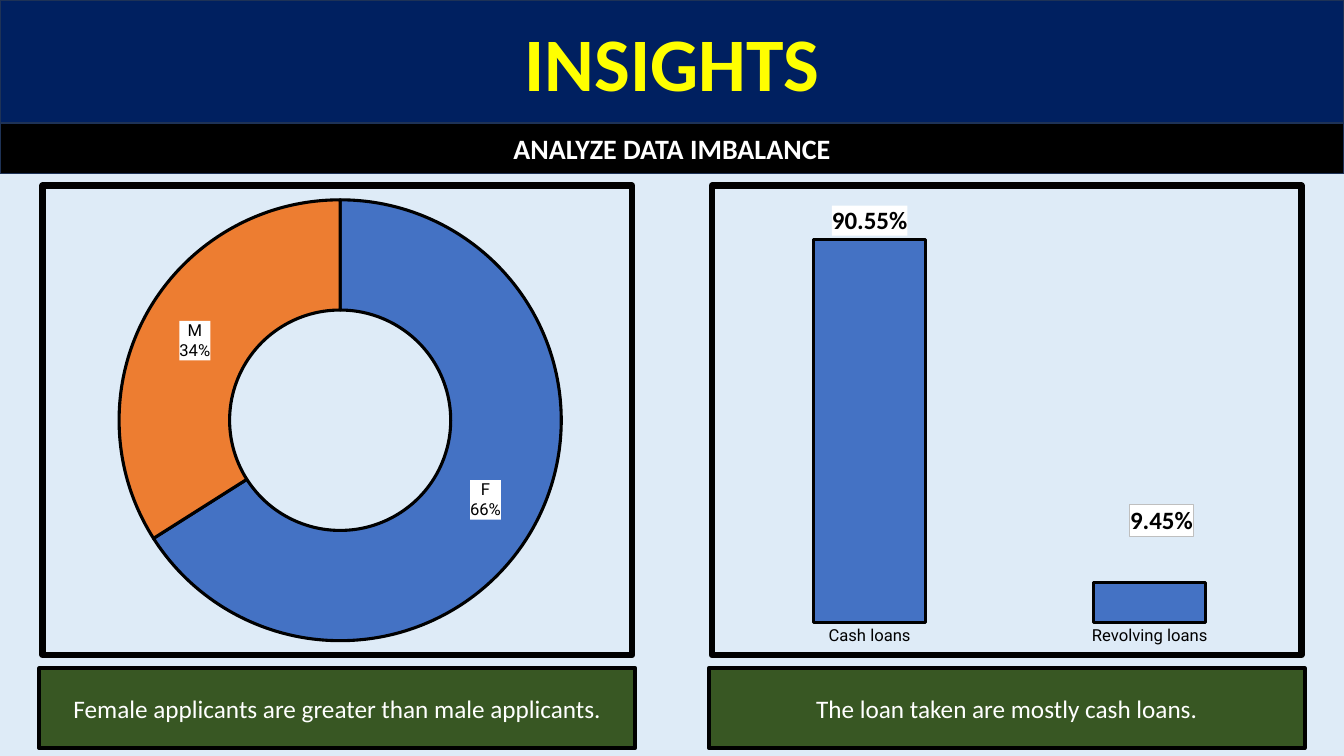
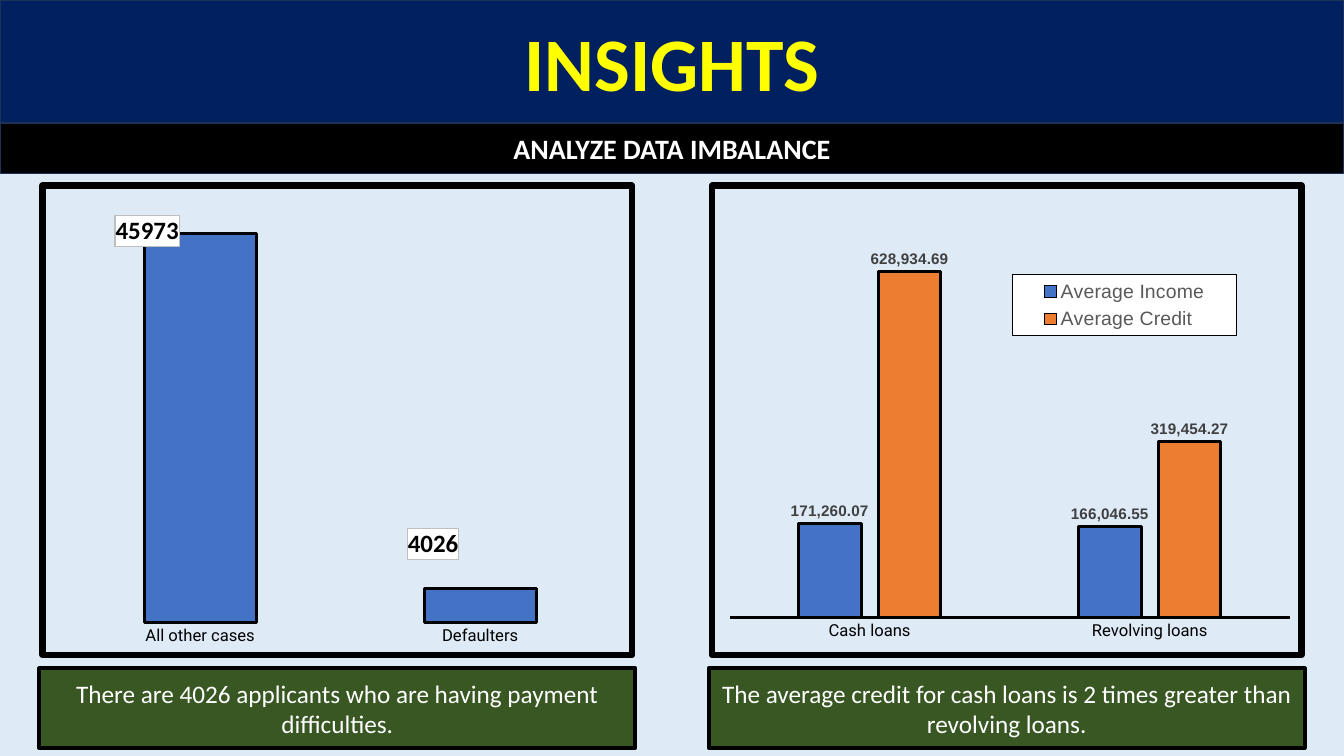
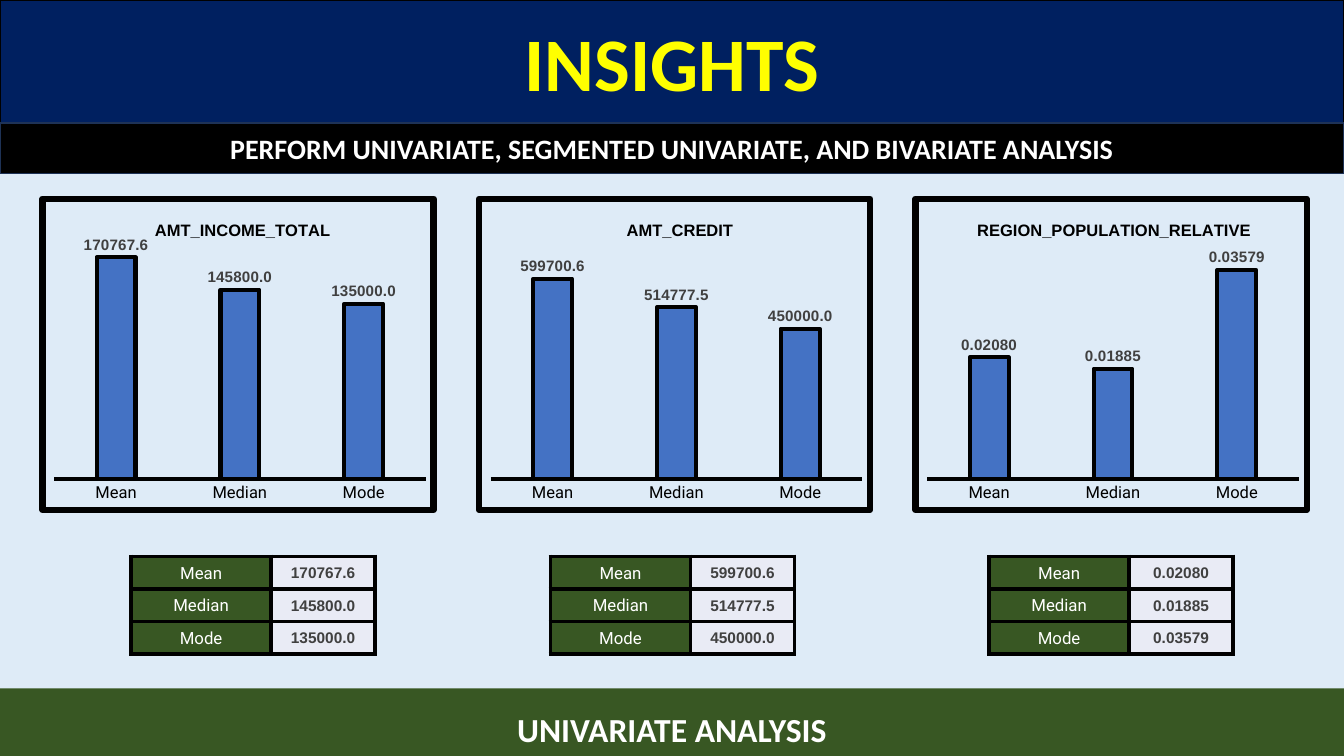
from copy import deepcopy
from dataclasses import dataclass

from pptx import Presentation
from pptx.chart.data import CategoryChartData
from pptx.dml.color import RGBColor
from pptx.enum.chart import XL_CHART_TYPE as Kind, XL_LABEL_POSITION as LabelPlace
from pptx.enum.chart import XL_LEGEND_POSITION as LegendPlace, XL_TICK_MARK as Tick
from pptx.enum.shapes import MSO_SHAPE
from pptx.enum.text import MSO_ANCHOR as Anchor, PP_ALIGN as Align
from pptx.oxml import parse_xml
from pptx.oxml.ns import nsdecls, qn
from pptx.util import Inches, Pt


@dataclass(frozen=True)
class Theme:
    page: str = "DEEBF7"
    navy: str = "002060"
    edge: str = "1E3256"
    black: str = "000000"
    white: str = "FFFFFF"
    yellow: str = "FFFF00"
    green: str = "385723"
    blue: str = "4472C4"
    orange: str = "ED7D31"
    cell: str = "E9EBF5"
    dark_grey: str = "404040"
    grey: str = "595959"
    light_grey: str = "BFBFBF"
    body: str = "Calibri"
    data: str = "Arial"
    category: str = "Roboto"
    title_size: float = 54
    footer_size: float = 24
    subtitle_size: float = 20
    caption_size: float = 18
    legend_size: float = 14
    category_size: float = 12
    data_size: float = 11
    chart_size: float = 10
    frame_line: float = 4.5


@dataclass(frozen=True)
class Box:
    left: float
    top: float
    width: float
    height: float

    def inches(self):
        return [Inches(n) for n in (self.left, self.top, self.width, self.height)]


THEME = Theme()
SLIDE_WIDTH, SLIDE_HEIGHT = 13.33, 7.5
MARGIN = 0.39
SMALL_LABEL = dict(size=THEME.data_size, color=THEME.dark_grey, bold=True, font=THEME.data)
LARGE_LABEL = dict(size=THEME.caption_size, bold=True)
CATEGORY_LABEL = dict(size=THEME.category_size, font=THEME.category)
WIDE_PLOT = (0.03, 0.03, 0.95, 0.9)


def rgb(color):
    return RGBColor.from_string(color)


def element(markup):
    return parse_xml(f"<root {nsdecls('a', 'c')}>{markup}</root>")[0]


def line_xml(tag, color, width):
    return (f'<a:{tag} w="{int(Pt(width))}"><a:solidFill><a:srgbClr val="{color}"/>'
            f'</a:solidFill></a:{tag}>')


def box_format(fill=None, line=None, width=1):
    paint = f'<a:solidFill><a:srgbClr val="{fill}"/></a:solidFill>' if fill else "<a:noFill/>"
    edge = line_xml("ln", line, width) if line else "<a:ln><a:noFill/></a:ln>"
    return element(f"<c:spPr>{paint}{edge}</c:spPr>")


def style_font(target, size, color=THEME.black, bold=False, font=THEME.body):
    target.size, target.bold, target.name = Pt(size), bold, font
    target.color.rgb = rgb(color)


def write(frame, text, outline=None, **style):
    para = frame.paragraphs[0]
    para.alignment = Align.CENTER
    span = para.add_run()
    span.text = text
    style_font(span.font, **style)
    if outline:
        span.font._element.insert(0, element(line_xml("ln", outline, 0.75)))


def text_block(page, box, text, fill, line=None, width=1, insets=None, **style):
    shape = page.shapes.add_shape(MSO_SHAPE.RECTANGLE, *box.inches())
    shape.shadow.inherit = False
    shape.fill.solid()
    shape.fill.fore_color.rgb = rgb(fill)
    if line:
        shape.line.color.rgb = rgb(line)
        shape.line.width = Pt(width)
    else:
        shape.line.fill.background()
    frame = shape.text_frame
    frame.word_wrap = True
    frame.vertical_anchor = Anchor.MIDDLE
    if insets:
        frame.vertical_anchor = Anchor.TOP
        frame.margin_left = frame.margin_right = Inches(insets[0])
        frame.margin_top, frame.margin_bottom = Inches(insets[1]), 0
    write(frame, text, **style)


def set_layout(parent, index, x, y, width=None, height=None, inner=False):
    old = parent.find(qn("c:layout"))
    if old is not None:
        parent.remove(old)
    target = '<c:layoutTarget val="inner"/>' if inner else ""
    size = f'<c:w val="{width}"/><c:h val="{height}"/>' if width else ""
    parent.insert(index, element(
        f'<c:layout><c:manualLayout>{target}<c:xMode val="edge"/><c:yMode val="edge"/>'
        f'<c:x val="{x}"/><c:y val="{y}"/>{size}</c:manualLayout></c:layout>'))


def style_axes(chart, axis_line, maximum):
    values, categories = chart.value_axis, chart.category_axis
    values.has_major_gridlines = False
    values.minimum_scale, values.maximum_scale = 0, maximum
    values.visible = False
    categories.major_tick_mark = Tick.NONE
    style_font(categories.tick_labels.font, **CATEGORY_LABEL)
    if axis_line:
        categories.format.line.color.rgb = rgb(THEME.black)
        categories.format.line.width = Pt(axis_line)
    else:
        categories.format.line.fill.background()


def style_labels(labels, style, number_format=None, outside=False):
    style_font(labels.font, **style)
    labels.show_value = True
    if number_format:
        labels.number_format, labels.number_format_is_linked = number_format, False
    if outside:
        labels.position = LabelPlace.OUTSIDE_END


def series_labels(chart):
    return [series.find(qn("c:dLbls")) for series in chart.element.iter(qn("c:ser"))]


def back_labels(chart, shifts):
    for group in series_labels(chart):
        leader = group.find(qn("c:showLeaderLines"))
        if leader is not None:
            leader.set("val", "0")
        group.find(qn("c:txPr")).addprevious(box_format(THEME.white))
        parts = [part for part in group if part is not leader]
        for position, (index, (x, y)) in enumerate(shifts.items()):
            label = element(
                f'<c:dLbl><c:idx val="{index}"/><c:layout><c:manualLayout>'
                f'<c:x val="{x}"/><c:y val="{y}"/></c:manualLayout></c:layout></c:dLbl>')
            label.extend([deepcopy(part) for part in parts])
            label.replace(label.find(qn("c:spPr")),
                          box_format(THEME.white, THEME.light_grey, 0.75))
            group.insert(position, label)


def outline_item(item, color, width):
    item.format.fill.solid()
    item.format.fill.fore_color.rgb = rgb(color)
    item.format.line.color.rgb = rgb(THEME.black)
    item.format.line.width = Pt(width)


def chart_panel(page, box, kind, categories, series, plot_area):
    data = CategoryChartData()
    data.categories = categories
    for name, values in series.items():
        data.add_series(name, values)
    chart = page.shapes.add_chart(kind, *box.inches(), data).chart
    chart.has_title = chart.has_legend = False
    style_font(chart.font, THEME.chart_size)
    chart.element.find(qn("c:chart")).addnext(
        box_format(line=THEME.black, width=THEME.frame_line))
    area = chart.element.find(".//" + qn("c:plotArea"))
    set_layout(area, 0, *plot_area, inner=True)
    area.append(box_format())
    return chart


def doughnut_panel(page, box, categories, values):
    chart = chart_panel(page, box, Kind.DOUGHNUT, categories, {"Series 1": values},
                        (0.13, 0.03, 0.75, 0.94))
    ring = chart.plots[0].series[0]
    for index, color in enumerate((THEME.blue, THEME.orange)):
        outline_item(ring.points[index], color, 2.25)
    labels = ring.data_labels
    style_labels(labels, CATEGORY_LABEL)
    labels.show_value = False
    labels.show_category_name = labels.show_percentage = True
    for group in series_labels(chart):
        group.find(qn("c:showBubbleSize")).addnext(element("<c:separator>\n</c:separator>"))
    back_labels(chart, {})


def column_panel(page, box, categories, series, maximum, kind=Kind.COLUMN_CLUSTERED,
                 plot_area=WIDE_PLOT, number_format="General", label_style=SMALL_LABEL,
                 gap=219, overlap=-27, bar_line=2.25, axis_line=None, shifts=None):
    chart = chart_panel(page, box, kind, categories, series, plot_area)
    style_axes(chart, axis_line, maximum)
    plot = chart.plots[0]
    plot.gap_width, plot.overlap, plot.vary_by_categories = gap, overlap, False
    for bars, color in zip(plot.series, (THEME.blue, THEME.orange)):
        outline_item(bars, color, bar_line)
        bars.invert_if_negative = False
        style_labels(bars.data_labels, label_style, number_format,
                     outside=kind == Kind.COLUMN_CLUSTERED)
    if shifts:
        back_labels(chart, shifts)
    return chart


def add_legend(chart, *place):
    chart.has_legend = True
    legend = chart.legend
    legend.position = LegendPlace.TOP
    legend.include_in_layout = False
    style_font(legend.font, THEME.legend_size, THEME.grey, font=THEME.data)
    root = chart.element.find(".//" + qn("c:legend"))
    set_layout(root, 1, *place)
    root.find(qn("c:txPr")).addprevious(box_format(THEME.white, THEME.black, 0.75))


def add_chart_title(chart, text, x, y):
    chart.has_title = True
    write(chart.chart_title.text_frame, text, size=THEME.category_size, bold=True,
          font=THEME.data)
    set_layout(chart.element.find(".//" + qn("c:title")), 1, x, y)


def stats_table(page, box, rows):
    table = page.shapes.add_table(len(rows), 2, *box.inches()).table
    table.first_row = table.horz_banding = False
    for column, width in zip(table.columns, (1.39, 1.03)):
        column.width = Inches(width)
    looks = ((THEME.green, dict(CATEGORY_LABEL, color=THEME.white)), (THEME.cell, SMALL_LABEL))
    for r, row in enumerate(rows):
        for c, (text, (fill, style)) in enumerate(zip(row, looks)):
            cell = table.cell(r, c)
            cell.margin_left = cell.margin_right = cell.margin_top = Inches(0.01)
            cell.margin_bottom = 0
            cell.vertical_anchor = Anchor.MIDDLE
            cell.fill.solid()
            cell.fill.fore_color.rgb = rgb(fill)
            write(cell.text_frame, text, **style)
            properties = cell._tc.get_or_add_tcPr()
            for index, side in enumerate(("lnL", "lnR", "lnT", "lnB")):
                properties.insert(index, element(line_xml(side, THEME.black, 3)))


def add_page(deck, subtitle, title_line=THEME.edge):
    page = deck.slides.add_slide(deck.slide_layouts[6])
    page.background.fill.solid()
    page.background.fill.fore_color.rgb = rgb(THEME.page)
    text_block(page, Box(0, 0, SLIDE_WIDTH, 1.22), "INSIGHTS", THEME.navy, title_line,
               size=THEME.title_size, color=THEME.yellow, bold=True, outline=THEME.black)
    text_block(page, Box(0, 1.22, SLIDE_WIDTH, 0.5), subtitle, THEME.black, THEME.edge,
               size=THEME.subtitle_size, color=THEME.white, bold=True)
    return page


def imbalance_page(deck, captions):
    page = add_page(deck, "ANALYZE DATA IMBALANCE")
    width = 5.91
    boxes = [Box(left, 1.81, width, 4.72) for left in (MARGIN, SLIDE_WIDTH - MARGIN - width)]
    for box, caption in zip(boxes, captions):
        text_block(page, Box(box.left, box.top + 4.82, width, 0.79), caption, THEME.green,
                   THEME.black, 3, size=THEME.caption_size, color=THEME.white)
    return page, boxes


def applicants_page(deck):
    page, (left, right) = imbalance_page(deck, (
        "Female applicants are greater than male applicants.",
        "The loan taken are mostly cash loans."))
    doughnut_panel(page, left, ("F", "M"), (66, 34))
    column_panel(page, right, ("Cash loans", "Revolving loans"),
                 {"Series 1": (0.9055, 0.0945)}, 1, number_format="0.00%",
                 label_style=LARGE_LABEL, gap=150, overlap=0, shifts={1: (0.02, -0.09)})


def defaulters_page(deck):
    page, (left, right) = imbalance_page(deck, (
        "There are 4026 applicants who are having payment difficulties.",
        "The average credit for cash loans is 2 times greater than revolving loans."))
    column_panel(page, left, ("All other cases", "Defaulters"),
                 {"Series 1": (45973, 4026)}, 50000, kind=Kind.COLUMN_STACKED,
                 label_style=LARGE_LABEL, gap=150, overlap=100,
                 shifts={0: (-0.09, -0.42), 1: (-0.08, -0.13)})
    chart = column_panel(page, right, ("Cash loans", "Revolving loans"),
                         {"Average Income": (171260.07, 166046.55),
                          "Average Credit": (628934.69, 319454.27)},
                         700000, plot_area=(0.03, 0.1, 0.95, 0.82),
                         number_format="#,##0.00", axis_line=2.25)
    add_legend(chart, 0.51, 0.19, 0.38, 0.13)


def stats_column(page, box, name, values, maximum, digits, title_x, table_left):
    measures = ("Mean", "Median", "Mode")
    chart = column_panel(page, Box(box.left, box.top, box.width, 3.15), measures,
                         {"Series 1": values}, maximum, plot_area=(0.03, 0.15, 0.95, 0.75),
                         number_format="0." + "0" * digits, bar_line=3, axis_line=3)
    add_chart_title(chart, name, title_x, 0.06)
    rows = [(measure, f"{value:.{digits}f}") for measure, value in zip(measures, values)]
    stats_table(page, Box(box.left + table_left, box.top + 3.58, 2.42, 0.97), rows)


def univariate_page(deck):
    page = add_page(deck, "PERFORM UNIVARIATE, SEGMENTED UNIVARIATE, AND BIVARIATE ANALYSIS",
                    THEME.black)
    columns = (
        ("AMT_INCOME_TOTAL", (170767.6, 145800, 135000), 180000, 1, 0.28, 0.91),
        ("AMT_CREDIT", (599700.6, 514777.5, 450000), 700000, 1, 0.37, 0.74),
        ("REGION_POPULATION_RELATIVE", (0.0208, 0.01885, 0.03579), 0.04, 5, 0.15, 0.76))
    for index, column in enumerate(columns):
        stats_column(page, Box(MARGIN + index * 4.33, 1.94, 3.94, 4.55), *column)
    text_block(page, Box(0, 6.83, SLIDE_WIDTH, SLIDE_HEIGHT - 6.83), "UNIVARIATE ANALYSIS",
               THEME.green, insets=(0.79, 0.2), size=THEME.footer_size, color=THEME.white,
               bold=True)


def main():
    deck = Presentation()
    deck.slide_width, deck.slide_height = Inches(SLIDE_WIDTH), Inches(SLIDE_HEIGHT)
    for build in (applicants_page, defaulters_page, univariate_page):
        build(deck)
    deck.save("out.pptx")


if __name__ == "__main__":
    main()
